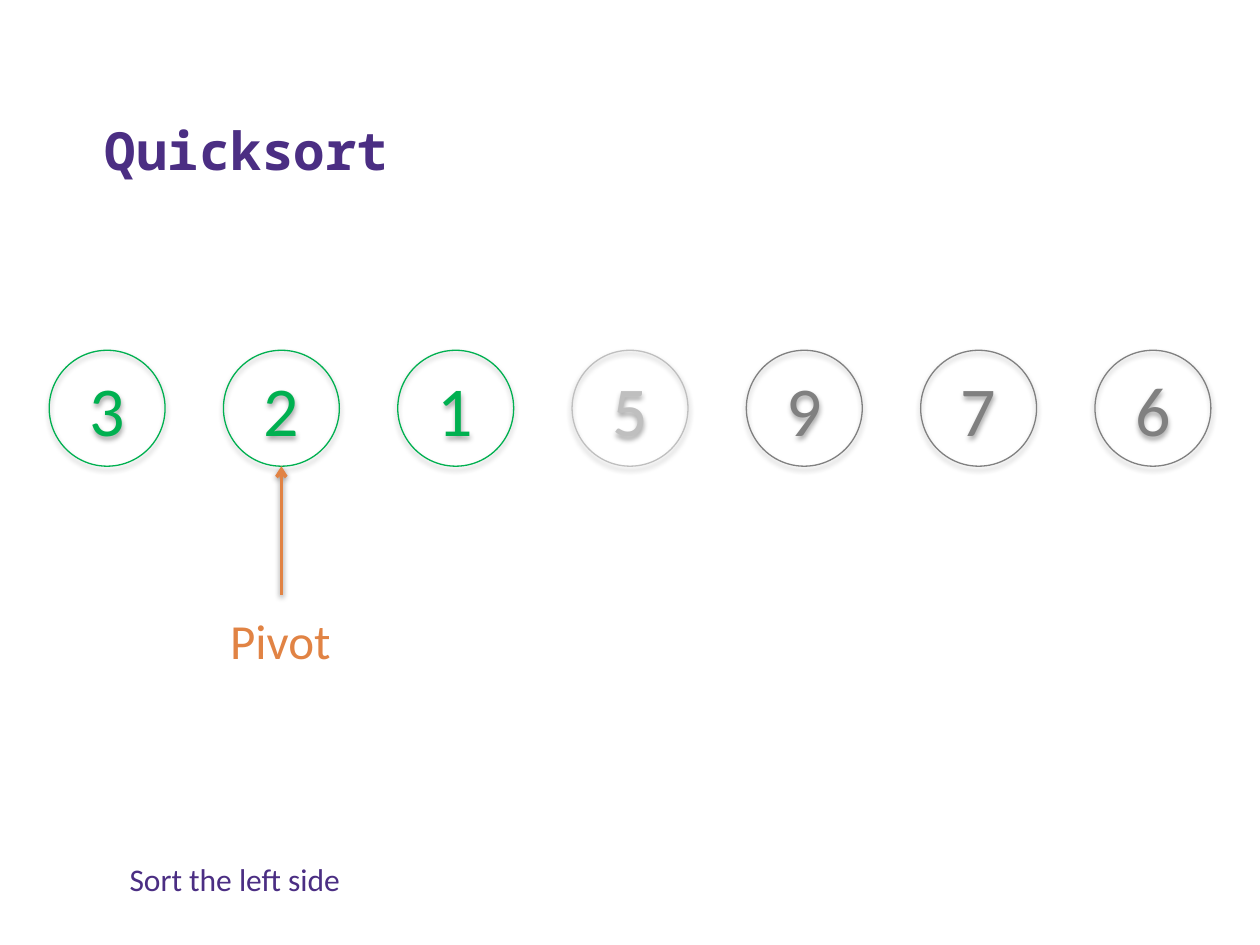
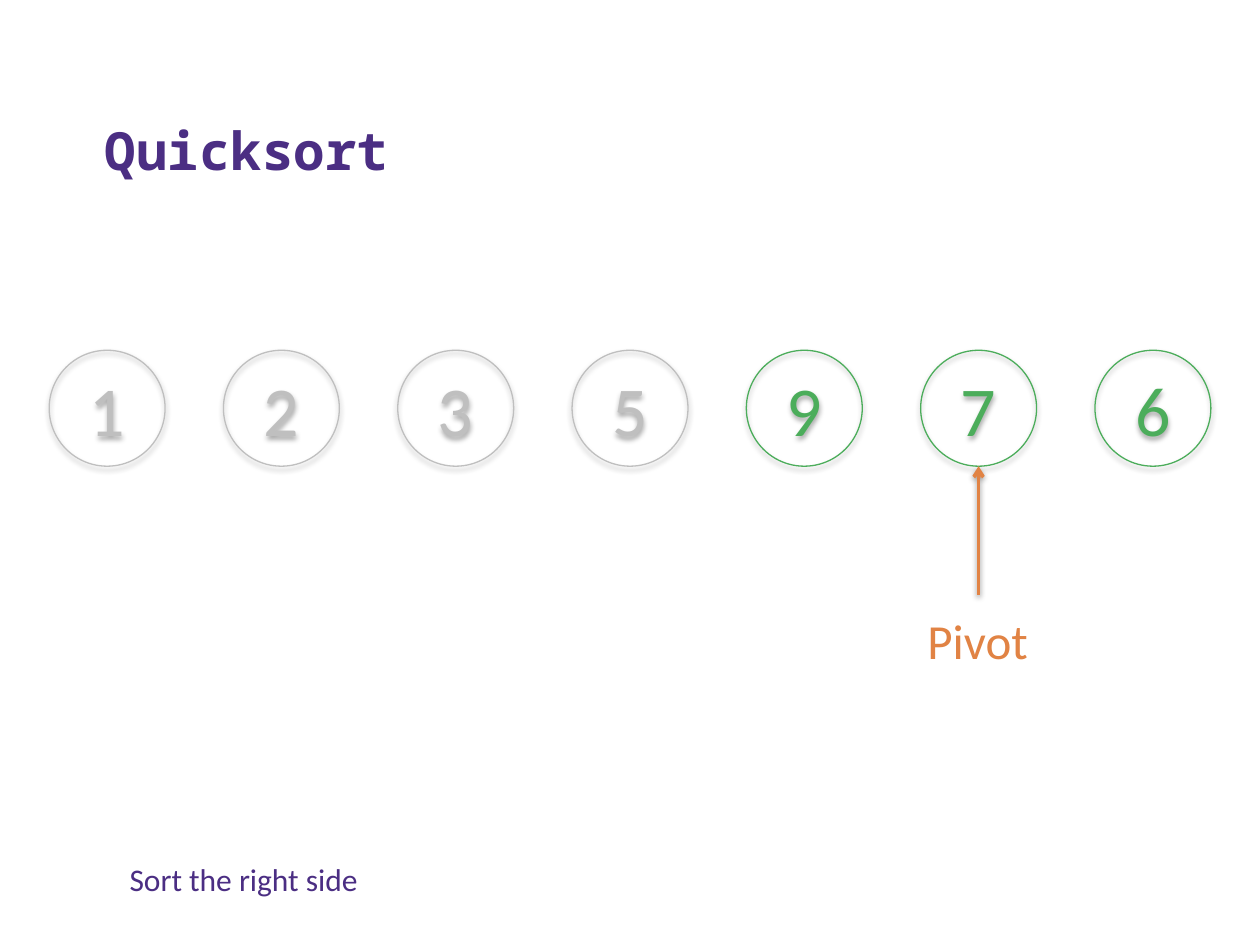
"""Build two slides showing quicksort on the left and the right of a pivot."""
from lxml.etree import SubElement
from pptx import Presentation
from pptx.dml.color import RGBColor
from pptx.enum.shapes import MSO_CONNECTOR, MSO_SHAPE
from pptx.enum.text import MSO_ANCHOR, MSO_AUTO_SIZE, PP_ALIGN
from pptx.oxml.ns import qn
from pptx.util import Inches, Pt

PURPLE = RGBColor(0x4B, 0x2E, 0x83)
ORANGE = RGBColor(0xE1, 0x83, 0x44)
GREEN = RGBColor(0x00, 0xB0, 0x50)
SOFT_GREEN = RGBColor(0x4C, 0xAD, 0x5B)
GREY = RGBColor(0x80, 0x80, 0x80)
PALE_GREY = RGBColor(0xBF, 0xBF, 0xBF)

TITLE = "Quicksort"
STEPS = [
    {
        "numbers": [(3, GREEN), (2, GREEN), (1, GREEN), (5, PALE_GREY),
                    (9, GREY), (7, GREY), (6, GREY)],
        "pivot": 1,
        "caption": "Sort the left side",
        "caption_width": 1.9,
    },
    {
        "numbers": [(1, PALE_GREY), (2, PALE_GREY), (3, PALE_GREY), (5, PALE_GREY),
                    (9, SOFT_GREEN), (7, SOFT_GREEN), (6, SOFT_GREEN)],
        "pivot": 5,
        "caption": "Sort the right side",
        "caption_width": 2.04,
    },
]

SLIDE_WIDTH, SLIDE_HEIGHT = 10, 7.5
COLUMNS = 7
DIAMETER = 0.92
ROW_LEFT, ROW_TOP = 0.39, 2.78
PITCH = (SLIDE_WIDTH - 2 * ROW_LEFT - DIAMETER) / (COLUMNS - 1)
ROW_BOTTOM = ROW_TOP + DIAMETER
ARROW_START = 4.72
PIVOT_TOP, PIVOT_WIDTH, PIVOT_HEIGHT = 4.8, 1.01, 0.57


def set_font(paragraph, size, color, name="Calibri"):
    font = paragraph.font
    font.size, font.name, font.color.rgb = Pt(size), name, color


def add_shadow(shape, opacity, distance):
    effects = SubElement(shape.element.spPr, qn("a:effectLst"))
    shadow = SubElement(effects, qn("a:outerShdw"), blurRad=str(Pt(3.15)),
                        dist=str(Pt(distance)), dir="5400000", rotWithShape="0")
    black = SubElement(shadow, qn("a:srgbClr"), val="000000")
    SubElement(black, qn("a:alpha"), val=str(opacity * 1000))


def add_label(shapes, text, left, top, width, height, size, color):
    label = shapes.add_textbox(Inches(left), Inches(top), Inches(width), Inches(height))
    frame = label.text_frame
    frame.word_wrap = False
    frame.auto_size = MSO_AUTO_SIZE.SHAPE_TO_FIT_TEXT
    frame.text = text
    set_font(frame.paragraphs[0], size, color)


def add_title(slide):
    title = slide.shapes.title
    title.left, title.top = Inches(0.73), Inches(0.41)
    title.width, title.height = Inches(8.95), Inches(1.08)
    frame = title.text_frame
    frame.text = TITLE
    frame.vertical_anchor = MSO_ANCHOR.BOTTOM
    heading = frame.paragraphs[0]
    heading.alignment = PP_ALIGN.LEFT
    set_font(heading, 30, PURPLE, "Noto Sans Mono")
    heading.font.bold = True


def add_number(slide, column, number, color):
    circle = slide.shapes.add_shape(
        MSO_SHAPE.OVAL, Inches(ROW_LEFT + column * PITCH), Inches(ROW_TOP),
        Inches(DIAMETER), Inches(DIAMETER))
    circle.fill.background()
    circle.line.color.rgb = color
    circle.line.width = Pt(0.75)
    add_shadow(circle, 35, 1.8)
    frame = circle.text_frame
    frame.text = str(number)
    frame.vertical_anchor = MSO_ANCHOR.MIDDLE
    digit = frame.paragraphs[0]
    digit.alignment = PP_ALIGN.CENTER
    set_font(digit, 40, color)


def add_pivot(slide, column):
    center = ROW_LEFT + column * PITCH + DIAMETER / 2
    marker = slide.shapes.add_group_shape().shapes
    arrow = marker.add_connector(MSO_CONNECTOR.STRAIGHT, Inches(center), Inches(ARROW_START),
                                 Inches(center), Inches(ROW_BOTTOM))
    arrow.line.color.rgb = ORANGE
    arrow.line.width = Pt(2)
    SubElement(arrow.element.spPr.find(qn("a:ln")), qn("a:tailEnd"), type="arrow")
    add_shadow(arrow, 38, 1.6)
    add_label(marker, "Pivot", center - PIVOT_WIDTH / 2, PIVOT_TOP,
              PIVOT_WIDTH, PIVOT_HEIGHT, 28, ORANGE)


def main():
    deck = Presentation()
    deck.slide_width, deck.slide_height = Inches(SLIDE_WIDTH), Inches(SLIDE_HEIGHT)
    title_only = deck.slide_layouts.get_by_name("Title Only")
    for step in STEPS:
        slide = deck.slides.add_slide(title_only)
        add_title(slide)
        for column, (number, color) in enumerate(step["numbers"]):
            add_number(slide, column, number, color)
        add_pivot(slide, step["pivot"])
        add_label(slide.shapes, step["caption"], 0.93, 6.78,
                  step["caption_width"], 0.4, 18, PURPLE)
    deck.save("out.pptx")


if __name__ == "__main__":
    main()
